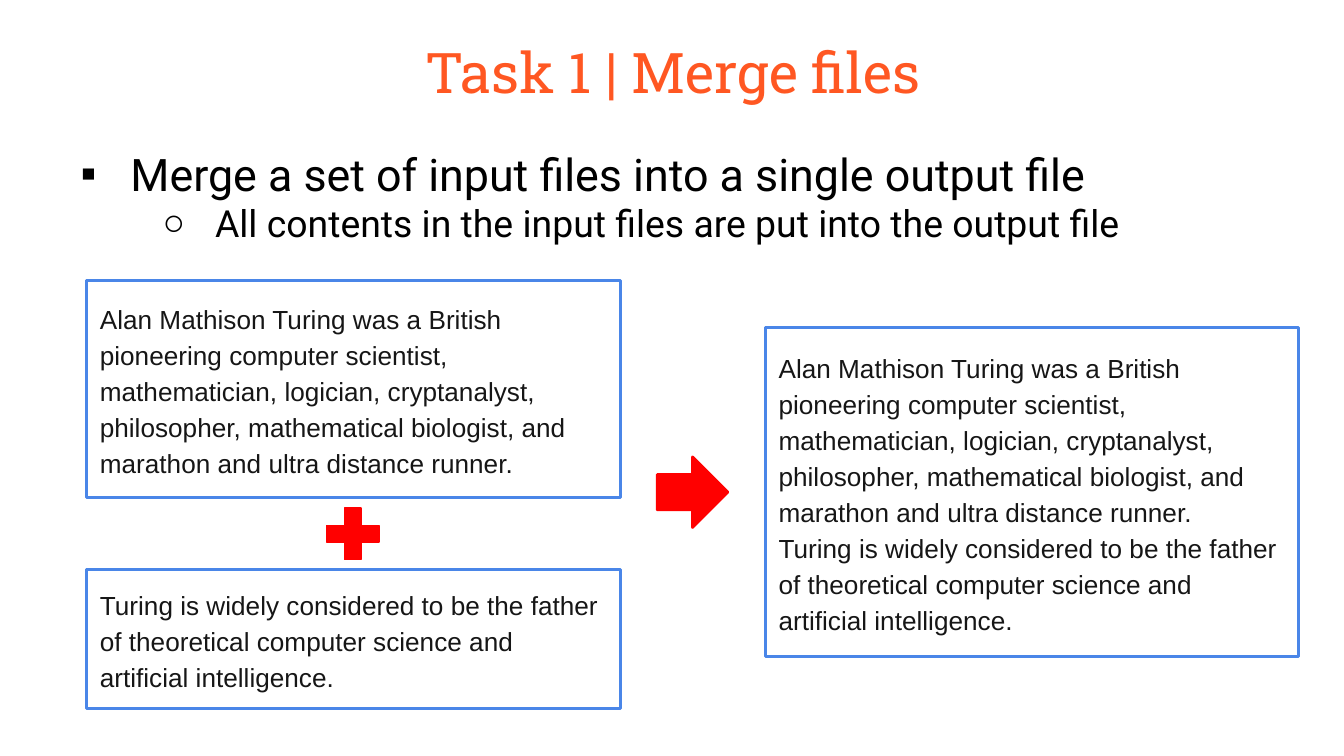
from lxml import etree
from pptx import Presentation
from pptx import util as u
from pptx.dml.color import RGBColor
from pptx.enum import shapes, text
from pptx.oxml.ns import qn

PX = 4572  # 200 px to the inch
ORANGE = RGBColor(0xFF, 0x57, 0x22)
BLACK = RGBColor(0, 0, 0)
INK = RGBColor(0x16, 0x16, 0x16)
BLUE = RGBColor(0x4A, 0x86, 0xE8)
RED = RGBColor(0xFF, 0, 0)

FIRST = ("Alan Mathison Turing was a British pioneering computer scientist, "
         "mathematician, logician, cryptanalyst, philosopher, mathematical "
         "biologist, and marathon and ultra distance runner.")
SECOND = ("Turing is widely considered to be the father of theoretical "
          "computer science and artificial intelligence.")


class Deck:
    def __init__(self, wide, high):
        self.prs = Presentation()
        self.prs.slide_width, self.prs.slide_height = wide * PX, high * PX
        self.slide = self.prs.slides.add_slide(self.prs.slide_layouts[1])

    def place(self, shape, box):
        shape.left, shape.top, shape.width, shape.height = (n * PX for n in box)

    def frame(self, shape, anchor, pad):
        """Set wrapping, anchor and the top and bottom inset; return the frame."""
        tf = shape.text_frame
        tf.word_wrap, tf.auto_size = True, text.MSO_AUTO_SIZE.NONE
        tf.vertical_anchor = anchor
        tf.margin_left = tf.margin_right = 20 * PX
        tf.margin_top = tf.margin_bottom = pad * PX
        return tf

    def style(self, para, face, size, color):
        para.space_before = u.Pt(0)
        for run in para.runs:
            run.font.name, run.font.size = face, u.Pt(size)
            run.font.color.rgb = color

    def title(self, words, box):
        shape = self.slide.shapes.title
        self.place(shape, box)
        tf = self.frame(shape, text.MSO_ANCHOR.MIDDLE, 10)
        tf.text = words
        para = tf.paragraphs[0]
        para.alignment = text.PP_ALIGN.CENTER
        self.style(para, "Roboto Slab", 30, ORANGE)

    def bullet(self, para, mark, left, hang):
        props = para._p.get_or_add_pPr()
        props.set("marL", str(left * PX))
        props.set("indent", str(-hang * PX))
        color = etree.SubElement(props, qn("a:buClr"))
        etree.SubElement(color, qn("a:srgbClr"), val=str(BLACK))
        etree.SubElement(props, qn("a:buFont"), typeface="Arial")
        etree.SubElement(props, qn("a:buChar"), char=mark)

    def list(self, items, box):
        """Fill the body with (words, level, size, mark, left, hang) items."""
        shape = self.slide.placeholders[1]
        self.place(shape, box)
        tf = self.frame(shape, text.MSO_ANCHOR.TOP, 10)
        tf.text = "\n".join(item[0] for item in items)
        for para, (_, level, size, mark, left, hang) in zip(tf.paragraphs, items):
            para.level = level
            self.style(para, "Roboto", size, BLACK)
            self.bullet(para, mark, left, hang)

    def shape(self, kind, box, line, width):
        shape = self.slide.shapes.add_shape(kind, *(n * PX for n in box))
        shape.shadow.inherit = False
        shape.line.color.rgb, shape.line.width = line, u.Pt(width)
        return shape

    def card(self, lines, box):
        shape = self.shape(shapes.MSO_SHAPE.RECTANGLE, box, BLUE, 1.5)
        shape.fill.background()
        tf = self.frame(shape, text.MSO_ANCHOR.MIDDLE, 20)
        tf.text = "\n".join(lines)
        for para in tf.paragraphs:
            para.alignment = text.PP_ALIGN.LEFT
            para.line_spacing = 1.15
            self.style(para, "Arial", 14, INK)

    def sign(self, kind, box, width, *adjust):
        shape = self.shape(kind, box, RED, width)
        shape.fill.solid()
        shape.fill.fore_color.rgb = RED
        for i, value in enumerate(adjust):
            shape.adjustments[i] = value


def main():
    deck = Deck(2000, 1125)
    deck.title("Task 1 | Merge files", (102, 42, 1800, 128))
    deck.list([
        ("Merge a set of input files into a single output file",
         0, 24, "▪", 74, 74),
        ("All contents in the input files are put into the output file",
         1, 20, "○", 200, 78),
    ], (100, 208, 1800, 226))
    deck.card([FIRST], (129, 417, 794, 324))
    deck.card([SECOND], (129, 847, 794, 208))
    deck.sign(shapes.MSO_SHAPE.MATH_PLUS, (472, 742, 106, 105), 0.75, 0.235)
    deck.card([FIRST, SECOND], (1139, 487, 794, 490))
    deck.sign(shapes.MSO_SHAPE.RIGHT_ARROW, (978, 680, 105, 105), 1.5, 0.5, 0.5)
    deck.prs.save("out.pptx")


if __name__ == "__main__":
    main()
